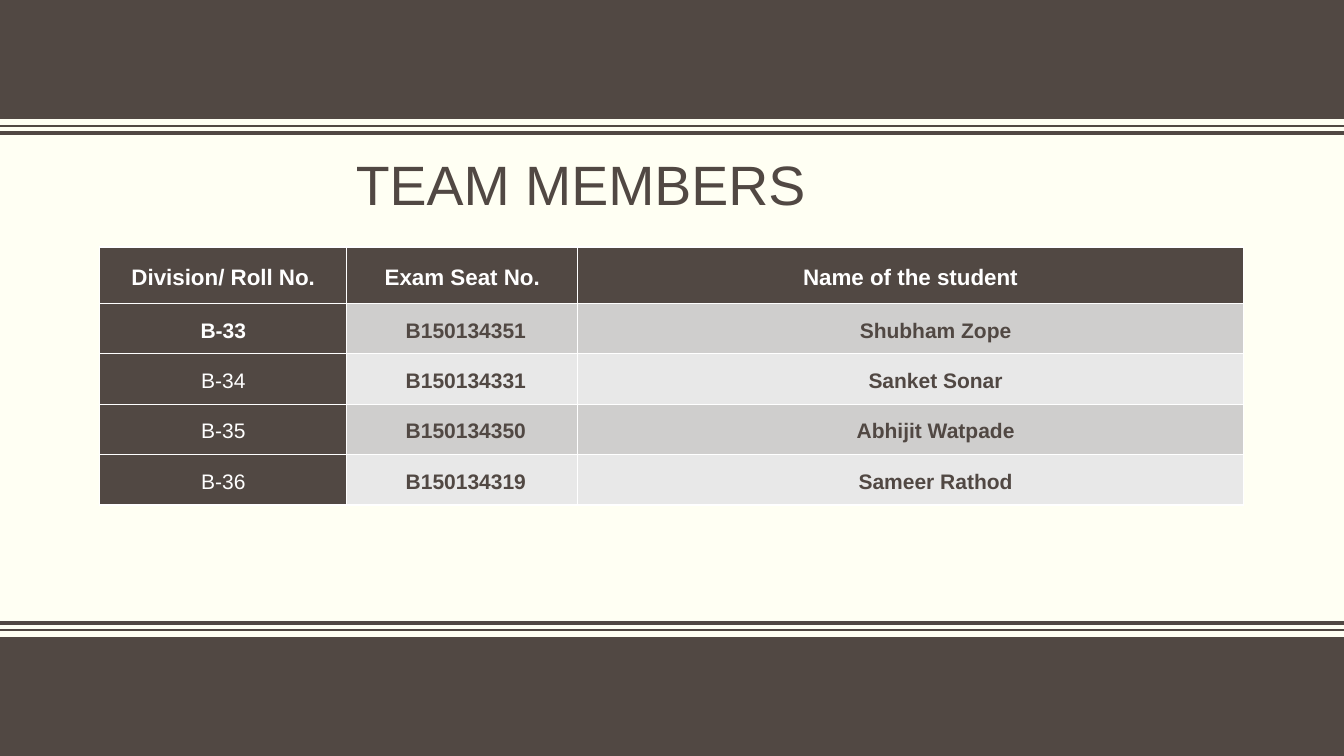
from dataclasses import dataclass

from lxml.etree import SubElement
from pptx import Presentation
from pptx.dml.color import RGBColor
from pptx.enum.shapes import MSO_CONNECTOR, MSO_SHAPE
from pptx.enum.text import MSO_ANCHOR, MSO_AUTO_SIZE, PP_ALIGN
from pptx.oxml.ns import qn
from pptx.util import Inches, Pt

TITLE = "TEAM MEMBERS"
HEADERS = ("Division/ Roll No.", "Exam Seat No.", "Name of the student")
MEMBERS = [
    ("B-33", "B150134351", "Shubham Zope"),
    ("B-34", "B150134331", "Sanket Sonar"),
    ("B-35", "B150134350", "Abhijit Watpade"),
    ("B-36", "B150134319", "Sameer Rathod"),
]


@dataclass(frozen=True)
class Theme:
    font: str = "Arial"
    paper: str = "FFFFF3"
    dark: str = "514843"
    white: str = "FFFFFF"
    bands: tuple = ("CFCECD", "E8E8E8")
    title_size: float = 39.6
    header_size: float = 16
    body_size: float = 15


THEME = Theme()
WIDTH, HEIGHT = 13.33, 7.5
BAND_HEIGHT = 1.18
RULES = [(1.25, 1), (1.32, 3)]  # distance from the slide edge, line width
TITLE_BOX = (3.53, 1.55, 6.27, 0.63)
TABLE_LEFT, TABLE_TOP = 0.99, 2.45
COLUMNS = (2.45, 2.29, 6.6)
ROWS = (0.56,) + (0.5,) * len(MEMBERS)
INDENTS = (0, 0.07, 0.5)


def color(code):
    return RGBColor.from_string(code)


def apply(target, values):
    for name, value in values.items():
        setattr(target, name, value)


def paint(target, code):
    target.fill.solid()
    target.fill.fore_color.rgb = color(code)


def write(para, text, size, code, bold=False):
    span = para.add_run()
    span.text = text
    apply(span.font, {"name": THEME.font, "size": Pt(size), "bold": bold})
    span.font.color.rgb = color(code)


def add_band(page, top):
    band = page.shapes.add_shape(MSO_SHAPE.RECTANGLE, 0, Inches(top),
                                 Inches(WIDTH), Inches(BAND_HEIGHT))
    band.shadow.inherit = False
    paint(band, THEME.dark)
    band.line.fill.background()


def add_rule(page, y, weight):
    rule = page.shapes.add_connector(MSO_CONNECTOR.STRAIGHT, 0, Inches(y),
                                     Inches(WIDTH), Inches(y))
    rule.line.color.rgb = color(THEME.dark)
    rule.line.width = Pt(weight)
    SubElement(rule._element.spPr, qn("a:effectLst"))


def add_borders(cell):
    """Put white borders before the cell's fill, as the schema requires."""
    properties = cell._tc.get_or_add_tcPr()
    for position, side in enumerate(("lnL", "lnR", "lnT", "lnB")):
        border = SubElement(properties, qn(f"a:{side}"), w=str(Pt(1)))
        fill = SubElement(border, qn("a:solidFill"))
        SubElement(fill, qn("a:srgbClr"), val=THEME.white)
        properties.insert(position, border)


def fill_cell(cell, text, row, column):
    header = row == 0
    on_dark = header or column == 0
    apply(cell, {
        "vertical_anchor": MSO_ANCHOR.MIDDLE,
        "margin_left": Inches(0.07), "margin_right": Inches(0.07),
        "margin_top": Inches(0.01), "margin_bottom": 0,
    })
    paint(cell, THEME.dark if on_dark else THEME.bands[(row - 1) % 2])
    add_borders(cell)
    para = cell.text_frame.paragraphs[0]
    apply(para, {"alignment": PP_ALIGN.CENTER, "line_spacing": 1.15})
    if not header:
        para._p.get_or_add_pPr().set("marL", str(Inches(INDENTS[column])))
    write(para, text, THEME.header_size if header else THEME.body_size,
          THEME.white if on_dark else THEME.dark,
          bold=column > 0 or row < 2)


def add_title(page):
    title = page.shapes.title
    apply(title, dict(zip(("left", "top", "width", "height"),
                          map(Inches, TITLE_BOX))))
    apply(title.text_frame, {
        "auto_size": MSO_AUTO_SIZE.NONE, "word_wrap": True,
        "vertical_anchor": MSO_ANCHOR.MIDDLE,
        "margin_left": 0, "margin_right": 0,
        "margin_top": Inches(0.05), "margin_bottom": Inches(0.05),
    })
    para = title.text_frame.paragraphs[0]
    apply(para, {"alignment": PP_ALIGN.LEFT, "line_spacing": 0.9})
    write(para, TITLE, THEME.title_size, THEME.dark)


def add_members(page):
    table = page.shapes.add_table(
        len(ROWS), len(COLUMNS), Inches(TABLE_LEFT), Inches(TABLE_TOP),
        Inches(sum(COLUMNS)), Inches(sum(ROWS))).table
    for column, width in zip(table.columns, COLUMNS):
        column.width = Inches(width)
    for row, height in zip(table.rows, ROWS):
        row.height = Inches(height)
    for row, texts in enumerate([HEADERS, *MEMBERS]):
        for column, text in enumerate(texts):
            fill_cell(table.cell(row, column), text, row, column)


def main():
    deck = Presentation()
    apply(deck, {"slide_width": Inches(WIDTH), "slide_height": Inches(HEIGHT)})
    page = deck.slides.add_slide(deck.slide_layouts.get_by_name("Title Only"))
    paint(page.background, THEME.paper)
    for top in (0, HEIGHT - BAND_HEIGHT):
        add_band(page, top)
    for offset, weight in RULES:
        for y in (offset, HEIGHT - offset):
            add_rule(page, y, weight)
    add_title(page)
    add_members(page)
    deck.save("out.pptx")


if __name__ == "__main__":
    main()
